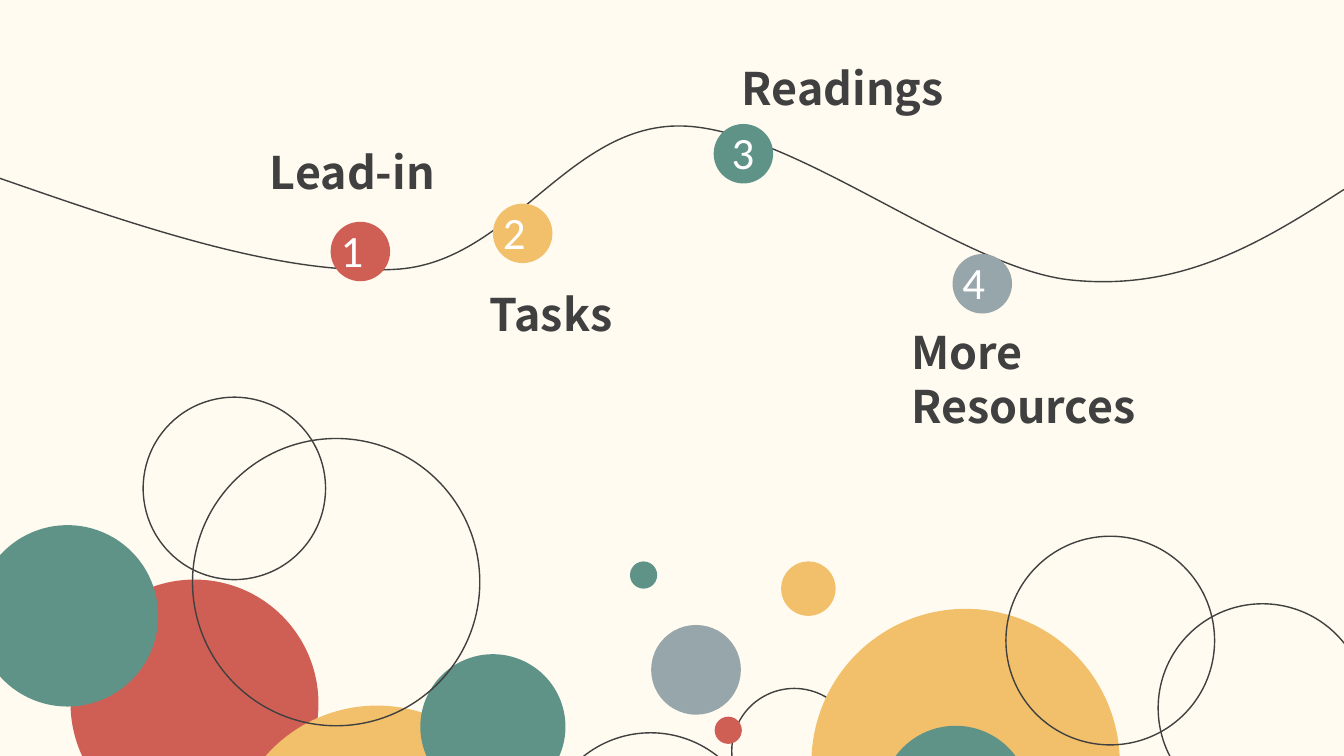
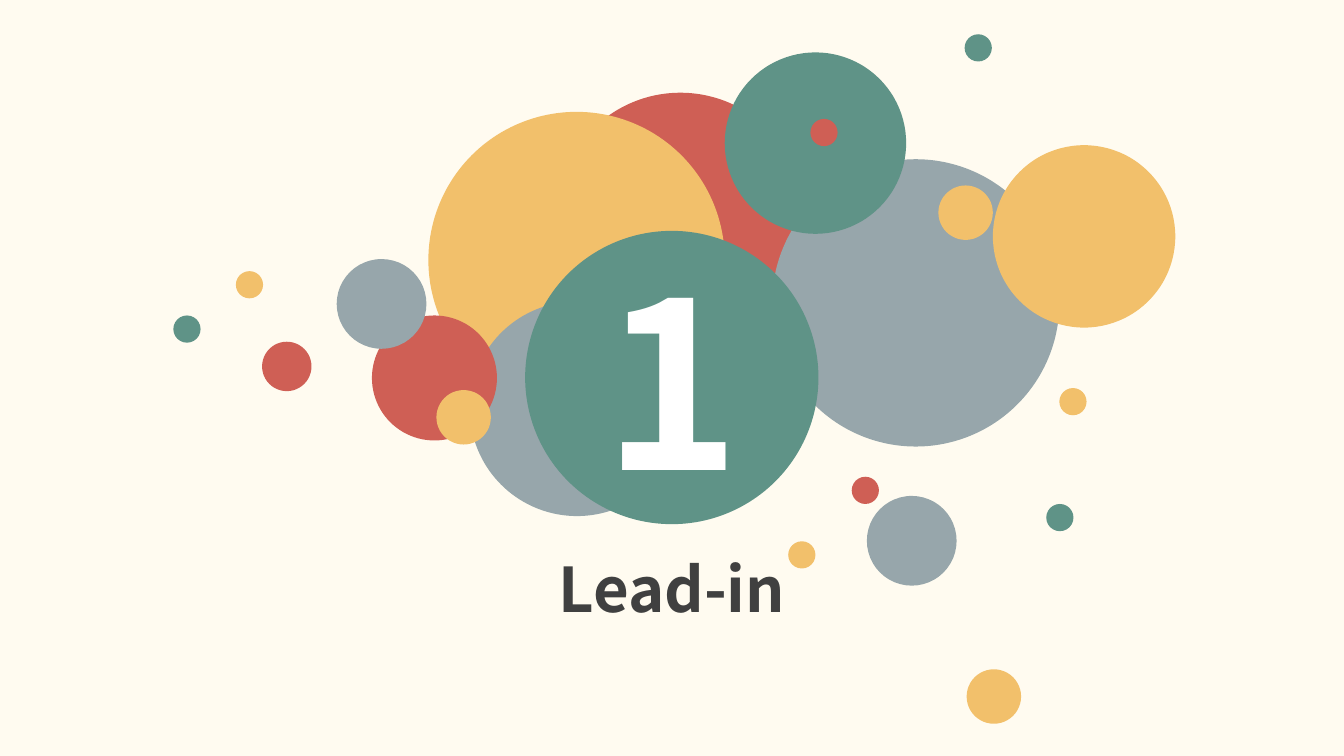
from typing import NamedTuple

from lxml import etree
from pptx import Presentation
from pptx.dml.color import RGBColor
from pptx.enum.shapes import MSO_SHAPE
from pptx.enum.text import MSO_ANCHOR, MSO_AUTO_SIZE, PP_ALIGN
from pptx.oxml.ns import qn
from pptx.shapes.autoshape import Shape
from pptx.slide import Slide
from pptx.text.text import TextFrame
from pptx.util import Inches, Pt

ELLIPSE = MSO_SHAPE.OVAL
LEFT, CENTER = PP_ALIGN.LEFT, PP_ALIGN.CENTER
MIDDLE = MSO_ANCHOR.MIDDLE
GROW = MSO_AUTO_SIZE.SHAPE_TO_FIT_TEXT

CREAM = RGBColor(0xFF, 0xFB, 0xF0)
RED = RGBColor(0xCF, 0x5F, 0x55)
YELLOW = RGBColor(0xF2, 0xC0, 0x6B)
GREEN = RGBColor(0x5F, 0x93, 0x87)
GREY = RGBColor(0x97, 0xA6, 0xAB)
INK = RGBColor(0x40, 0x40, 0x40)
WHITE = RGBColor(0xFF, 0xFF, 0xFF)

TITLE_FONT = "Noto Sans CJK SC"
NUMBER_FONT = "Calibri"

SLIDE_HEIGHT = Inches(7.5)
SLIDE_WIDTH = SLIDE_HEIGHT * 16 // 9
ROWS = 75
CELL = SLIDE_HEIGHT / ROWS
COLUMNS = SLIDE_WIDTH / CELL

DOT, SPOT, BADGE, BALL = 2.7, 5.4, 5.9, 8.9
LABEL_HEIGHT = 6.4


class Bubble(NamedTuple):
    column: float
    row: float
    diameter: float
    fill: RGBColor | None = None


class TextStyle(NamedTuple):
    font: str
    size: int
    color: RGBColor
    bold: bool = True
    align: PP_ALIGN = LEFT


class Label(NamedTuple):
    text: str
    column: float
    row: float
    width: float
    height: float = LABEL_HEIGHT


class Stop(NamedTuple):
    badge: Bubble
    label: Label
    number_shift: float = 0


class Point(NamedTuple):
    column: float
    row: float


class Bend(NamedTuple):
    first: Point
    second: Point
    end: Point


STOP_LABEL = TextStyle(TITLE_FONT, 32, INK)
STOP_NUMBER = TextStyle(NUMBER_FONT, 32, WHITE, bold=False)
SECTION_LABEL = TextStyle(TITLE_FONT, 44, INK, align=CENTER)
SECTION_NUMBER = TextStyle(TITLE_FONT, 166, WHITE, align=CENTER)

CONTENTS_BUBBLES = [
    Bubble(7, 57.5, 24.6, RED),
    Bubble(22.7, 70, 29.4, YELLOW),
    Bubble(41.7, 64.9, 14.4, GREEN),
    Bubble(53.9, 72.7, 21.3),
    Bubble(19.1, 43.5, 28.5),
    Bubble(-2.3, 52.1, 18, GREEN),
    Bubble(72.6, 68.3, 12.4),
    Bubble(80.5, 60.4, 30.6, YELLOW),
    Bubble(87.4, 72, 14.8, GREEN),
    Bubble(99.8, 53.2, 20.7),
    Bubble(114.9, 59.9, 20.7),
    Bubble(64.6, 62, BALL, GREY),
    Bubble(70.9, 71.1, DOT, RED),
    Bubble(62.5, 55.7, DOT, GREEN),
    Bubble(77.5, 55.7, SPOT, YELLOW),
    Bubble(14.2, 39.4, 18.1),
]

ROAD_START = Point(0, 17.7)
ROAD_BENDS = [
    Bend(Point(14.1, 22.6), Point(28.3, 27.5), Point(39.6, 26.7)),
    Bend(Point(50.8, 25.8), Point(56.4, 12.3), Point(67.6, 12.5)),
    Bend(Point(78.7, 12.7), Point(95.5, 26.8), Point(106.4, 27.8)),
    Bend(Point(117.4, 28.9), Point(125.4, 23.9), Point(COLUMNS, 18.8)),
]

STOPS = [
    Stop(Bubble(32.8, 22, BADGE, RED), Label("Lead-in", 25.8, 13.9, 19.9)),
    Stop(Bubble(48.9, 20.2, BADGE, YELLOW), Label("Tasks", 47.6, 28, 14.9)),
    Stop(Bubble(70.8, 12.3, BADGE, GREEN), Label("Readings", 72.6, 5.5, 23.1), 0.8),
    Stop(Bubble(94.5, 25.2, BADGE, GREY), Label("More Resources", 89.4, 31.7, 31.1, 11.8)),
]

SECTION_BUBBLES = [
    Bubble(55.2, 9.2, 24.6, RED),
    Bubble(42.5, 11.1, 29.4, YELLOW),
    Bubble(46.6, 29.9, 21.3, GREY),
    Bubble(76.6, 15.8, 28.5, GREY),
    Bubble(71.9, 5.2, 18, GREEN),
    Bubble(36.9, 31.3, 12.4, RED),
    Bubble(86, 49.2, BALL, GREY),
    Bubble(84.5, 47.3, DOT, RED),
    Bubble(78.2, 53.7, DOT, YELLOW),
    Bubble(103.8, 50, DOT, GREEN),
    Bubble(95.9, 66.4, SPOT, YELLOW),
    Bubble(98.5, 14.4, 18.1, YELLOW),
    Bubble(33.4, 25.7, BALL, GREY),
    Bubble(26, 33.9, 4.9, RED),
    Bubble(23.4, 26.9, DOT, YELLOW),
    Bubble(17.2, 31.3, DOT, GREEN),
    Bubble(43.3, 38.7, SPOT, YELLOW),
    Bubble(80.4, 11.8, DOT, RED),
    Bubble(105.1, 38.5, DOT, YELLOW),
    Bubble(95.7, 3.4, DOT, GREEN),
    Bubble(93.1, 18.4, SPOT, YELLOW),
]
SECTION_DISC = Bubble(52.1, 22.9, 29.1, GREEN)
SECTION_TITLE = Label("Lead-in", 36.5, 54.2, 60.3, 8.4)


def cells(count: float) -> int:
    return round(count * CELL)


def add_page(deck: Presentation) -> Slide:
    page = deck.slides.add_slide(deck.slide_layouts[6])
    page.background.fill.solid()
    page.background.fill.fore_color.rgb = CREAM
    return page


def paint(shape: Shape, fill: RGBColor | None) -> None:
    shape.shadow.inherit = False
    if fill is None:
        shape.fill.background()
        shape.line.color.rgb = INK
        shape.line.width = Pt(1)
    else:
        shape.fill.solid()
        shape.fill.fore_color.rgb = fill
        shape.line.fill.background()


def add_bubble(page: Slide, bubble: Bubble) -> Shape:
    side = cells(bubble.diameter)
    shape = page.shapes.add_shape(
        ELLIPSE, cells(bubble.column), cells(bubble.row), side, side
    )
    paint(shape, bubble.fill)
    return shape


def write(frame: TextFrame, text: str, style: TextStyle) -> None:
    frame.word_wrap = True
    para = frame.paragraphs[0]
    para.text = text
    para.alignment = style.align
    para.font.name = style.font
    para.font.size = Pt(style.size)
    para.font.bold = style.bold
    para.font.color.rgb = style.color


def add_label(page: Slide, label: Label, style: TextStyle) -> None:
    box = page.shapes.add_textbox(
        cells(label.column), cells(label.row), cells(label.width), cells(label.height)
    )
    write(box.text_frame, label.text, style)
    box.text_frame.auto_size = GROW


def add_road(page: Slide, start: Point, bends: list[Bend]) -> None:
    builder = page.shapes.build_freeform(cells(start.column), cells(start.row))
    ends = [(cells(bend.end.column), cells(bend.end.row)) for bend in bends]
    builder.add_line_segments(ends, close=False)
    road = builder.convert_to_shape()
    paint(road, None)
    segments = list(road._element.iter(qn("a:lnTo")))
    for segment, bend in zip(segments, bends):
        segment.tag = qn("a:cubicBezTo")
        for index, handle in enumerate((bend.first, bend.second)):
            corner = etree.Element(qn("a:pt"))
            corner.set("x", str(cells(handle.column) - road.left))
            corner.set("y", str(cells(handle.row) - road.top))
            segment.insert(index, corner)


def add_stop(page: Slide, number: int, stop: Stop) -> None:
    badge = stop.badge
    add_bubble(page, badge)
    add_label(page, stop.label, STOP_LABEL)
    digit = Label(str(number), badge.column + stop.number_shift, badge.row - 0.4, BADGE)
    add_label(page, digit, STOP_NUMBER)


def build_contents(deck: Presentation) -> None:
    page = add_page(deck)
    for bubble in CONTENTS_BUBBLES:
        add_bubble(page, bubble)
    add_road(page, ROAD_START, ROAD_BENDS)
    for number, stop in enumerate(STOPS, start=1):
        add_stop(page, number, stop)


def build_section(deck: Presentation) -> None:
    page = add_page(deck)
    for bubble in SECTION_BUBBLES:
        add_bubble(page, bubble)
    disc = add_bubble(page, SECTION_DISC)
    write(disc.text_frame, "1", SECTION_NUMBER)
    disc.text_frame.vertical_anchor = MIDDLE
    add_label(page, SECTION_TITLE, SECTION_LABEL)


def main() -> None:
    deck = Presentation()
    deck.slide_width = SLIDE_WIDTH
    deck.slide_height = SLIDE_HEIGHT
    build_contents(deck)
    build_section(deck)
    deck.save("out.pptx")


if __name__ == "__main__":
    main()
